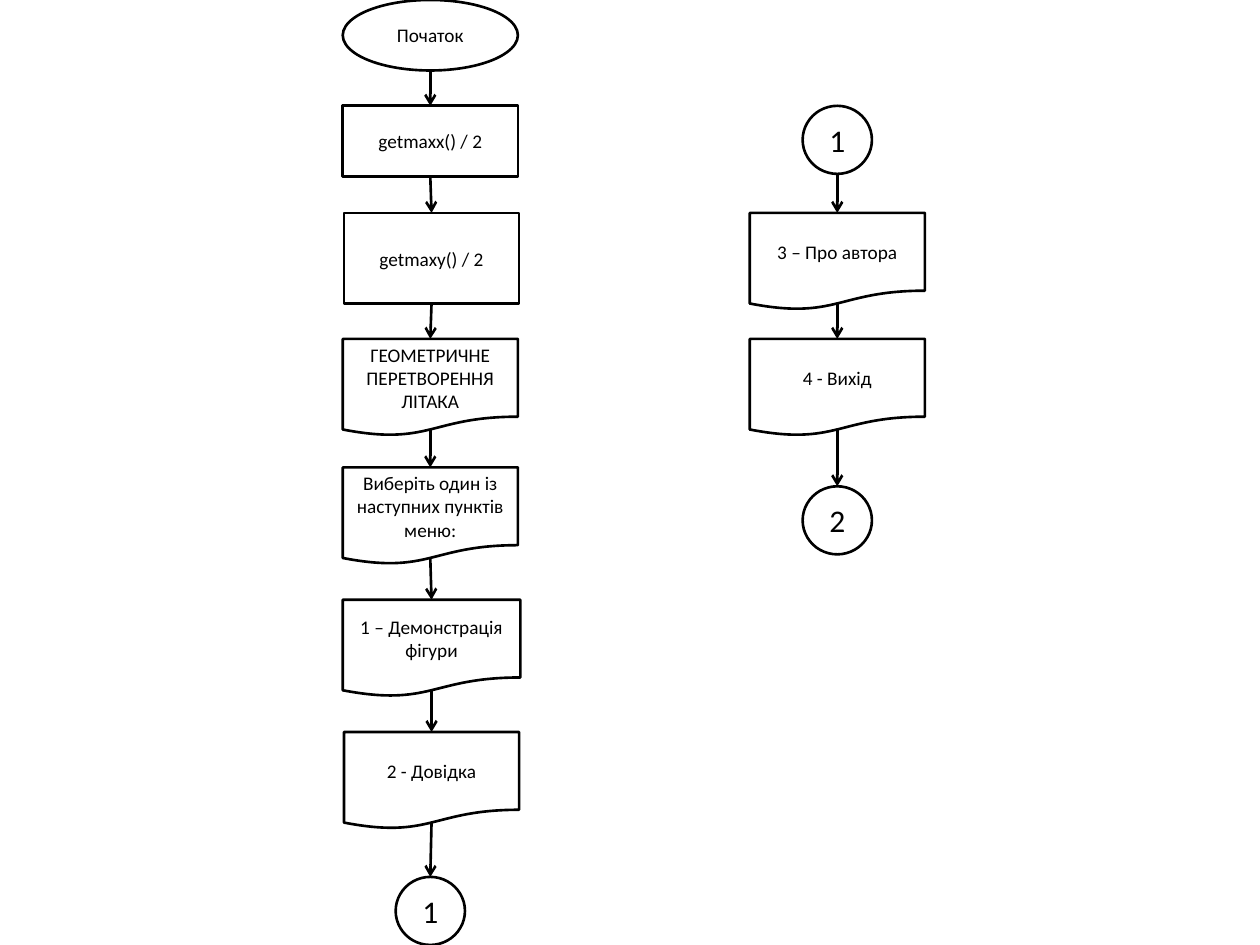
from lxml import etree
from pptx import Presentation
from pptx import util as u
from pptx.dml.color import RGBColor
from pptx.enum import shapes, text
from pptx.oxml.ns import qn

BLACK = RGBColor(0, 0, 0)
OVAL = shapes.MSO_SHAPE.OVAL
PROCESS = shapes.MSO_SHAPE.RECTANGLE
DOCUMENT = shapes.MSO_SHAPE.FLOWCHART_DOCUMENT
LINK = shapes.MSO_SHAPE.FLOWCHART_CONNECTOR
DOCUMENT_EDGE = 0.934  # where the wavy bottom crosses the middle

presentation = Presentation()
presentation.slide_width = u.Inches(10)
presentation.slide_height = u.Inches(7.5)
slide = presentation.slides.add_slide(presentation.slide_layouts[6])


def add_step(kind, label, left, top, width, height):
    shape = slide.shapes.add_shape(
        kind, u.Inches(left), u.Inches(top), u.Inches(width), u.Inches(height))
    shape.shadow.inherit = False
    shape.fill.background()
    shape.line.color.rgb = BLACK
    shape.line.width = u.Pt(1.5)
    frame = shape.text_frame
    frame.word_wrap = True
    frame.vertical_anchor = text.MSO_ANCHOR.MIDDLE
    paragraph = frame.paragraphs[0]
    paragraph.text = label
    paragraph.alignment = text.PP_ALIGN.CENTER
    paragraph.font.name = "Calibri"
    paragraph.font.size = u.Pt(18 if kind == LINK else 11)
    paragraph.font.color.rgb = BLACK
    return shape


def add_arrow(source, target):
    drop = DOCUMENT_EDGE if source.auto_shape_type == DOCUMENT else 1
    arrow = slide.shapes.add_connector(
        shapes.MSO_CONNECTOR.STRAIGHT,
        source.left + source.width // 2, source.top + int(source.height * drop),
        target.left + target.width // 2, target.top)
    if source.auto_shape_type == PROCESS:
        arrow.begin_connect(source, 2)
    if target.auto_shape_type in (PROCESS, DOCUMENT):
        arrow.end_connect(target, 0)
    arrow.line.color.rgb = BLACK
    arrow.line.width = u.Pt(1.5)
    etree.SubElement(arrow.line._get_or_add_ln(), qn("a:tailEnd"), type="arrow")
    etree.SubElement(arrow._element.spPr, qn("a:effectLst"))


# Steps of each column, from top to bottom
main_column = [
    (OVAL, "Початок", 2.72, 0, 1.39, 0.56),
    (PROCESS, "getmaxx() / 2", 2.72, 0.84, 1.39, 0.56),
    (PROCESS, "getmaxy() / 2", 2.73, 1.69, 1.39, 0.72),
    (DOCUMENT, "ГЕОМЕТРИЧНЕ ПЕРЕТВОРЕННЯ ЛІТАКА", 2.72, 2.69, 1.39, 0.77),
    (DOCUMENT, "Виберіть один із наступних пунктів меню:", 2.72, 3.71, 1.39, 0.77),
    (DOCUMENT, "1 – Демонстрація фігури", 2.72, 4.76, 1.41, 0.77),
    (DOCUMENT, "2 - Довідка", 2.73, 5.81, 1.39, 0.77),
    (LINK, "1", 3.14, 6.96, 0.55, 0.54),
]
continued_column = [
    (LINK, "1", 6.37, 0.84, 0.55, 0.54),
    (DOCUMENT, "3 – Про автора", 5.95, 1.69, 1.39, 0.77),
    (DOCUMENT, "4 - Вихід", 5.95, 2.69, 1.39, 0.77),
    (LINK, "2", 6.37, 3.86, 0.55, 0.54),
]

# Draw each column and join neighbouring steps
for column in (main_column, continued_column):
    steps = [add_step(*step) for step in column]
    for source, target in zip(steps, steps[1:]):
        add_arrow(source, target)

presentation.save("out.pptx")
